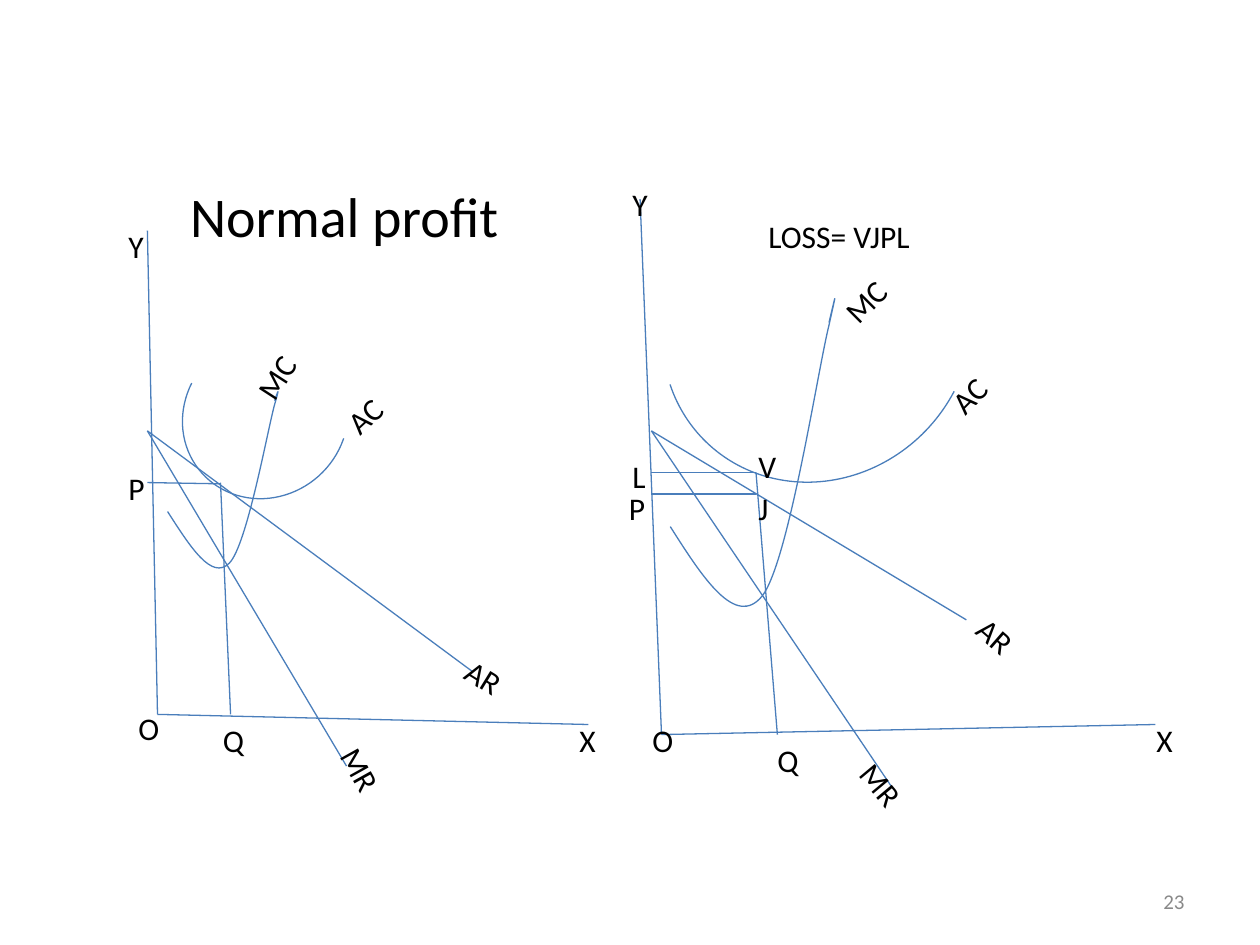
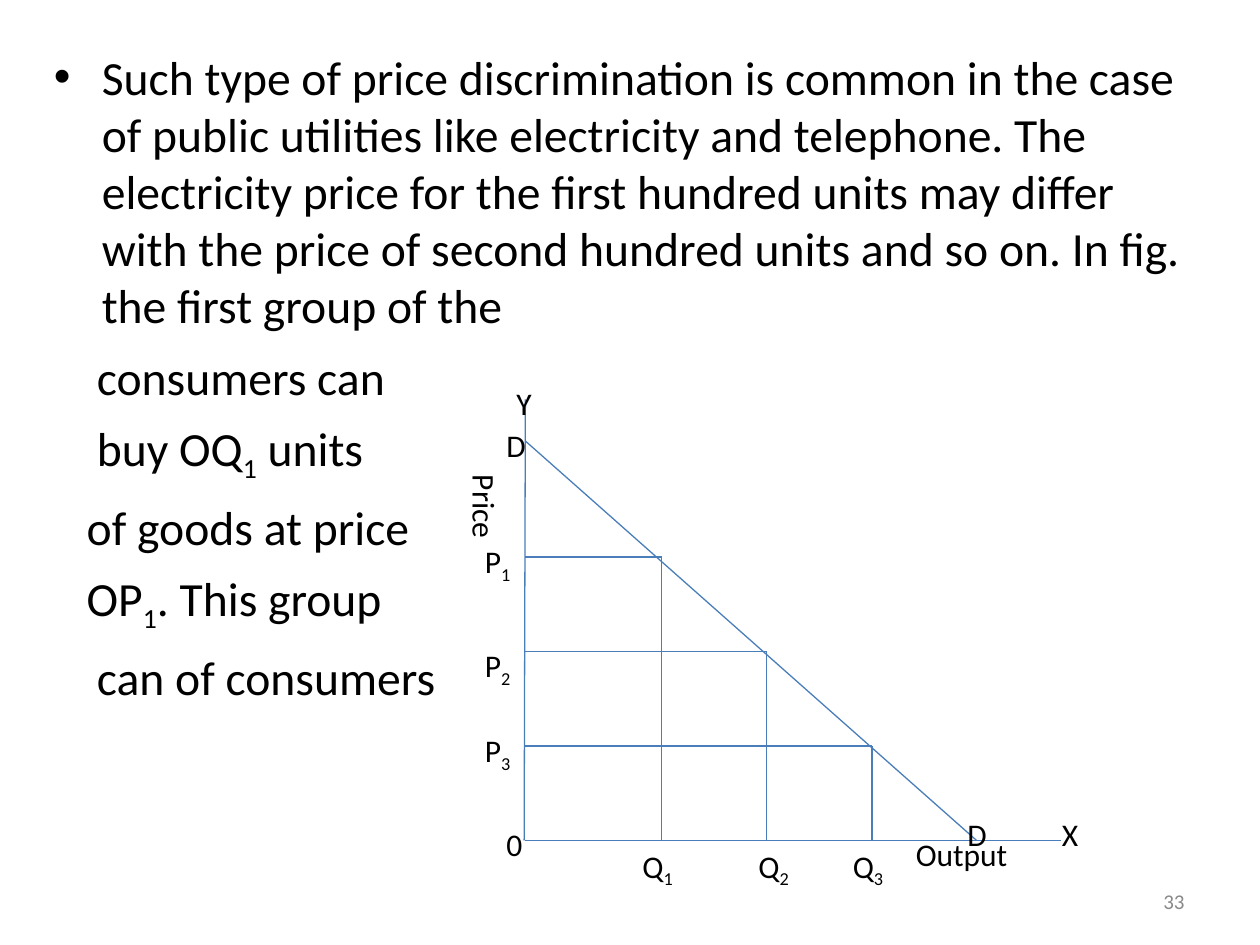
from dataclasses import dataclass

from lxml import etree
from pptx import Presentation
from pptx.dml.color import RGBColor
from pptx.enum.shapes import MSO_CONNECTOR as Connector, MSO_SHAPE as Shape
from pptx.enum.text import MSO_ANCHOR as Anchor, MSO_AUTO_SIZE as AutoSize, PP_ALIGN as Align
from pptx.oxml.ns import qn
from pptx.util import Inches, Pt


@dataclass(frozen=True)
class Theme:
    font: str = "Calibri"
    ink: RGBColor = RGBColor(0x00, 0x00, 0x00)
    muted: RGBColor = RGBColor(0x89, 0x89, 0x89)
    curve: RGBColor = RGBColor(0x4A, 0x7E, 0xBB)
    curve_width: float = 0.75
    title_size: float = 32
    body_size: float = 27.2
    label_size: float = 18
    number_size: float = 12
    body_gap: float = 8


THEME = Theme()


def write(paragraph, text, size, color=THEME.ink):
    """Fill a paragraph; the character after each underscore is a subscript."""
    first, *rest = text.split("_")
    pieces = [(first, False)]
    for part in rest:
        pieces += [(part[0], True), (part[1:], False)]
    for piece, lowered in pieces:
        if not piece:
            continue
        run = paragraph.add_run()
        run.text = piece
        run.font.name = THEME.font
        run.font.size = Pt(size)
        run.font.color.rgb = color
        if lowered:
            run.font._element.set("baseline", "-25000")


def text_frame(slide, left, top, width, height, rotation=0):
    box = slide.shapes.add_textbox(Inches(left), Inches(top), Inches(width), Inches(height))
    box.rotation = rotation
    box.text_frame.word_wrap = True
    return box.text_frame


def label(slide, text, left, top, width, rotation=0):
    frame = text_frame(slide, left, top, width, 0.44 if "_" in text else 0.4, rotation)
    frame.auto_size = AutoSize.SHAPE_TO_FIT_TEXT
    write(frame.paragraphs[0], text, THEME.label_size)


def page_number(slide, number):
    frame = text_frame(slide, 7.17, 6.95, 2.33, 0.4)
    frame.vertical_anchor = Anchor.MIDDLE
    frame.paragraphs[0].alignment = Align.RIGHT
    write(frame.paragraphs[0], str(number), THEME.number_size, THEME.muted)


def style_stroke(shape):
    shape.line.color.rgb = THEME.curve
    shape.line.width = Pt(THEME.curve_width)


def line(slide, start, end):
    connector = slide.shapes.add_connector(
        Connector.STRAIGHT, *(Inches(value) for value in (*start, *end)))
    style_stroke(connector)
    etree.SubElement(connector._element.spPr, qn("a:effectLst"))


def style_curve(shape):
    shape.fill.background()
    shape.shadow.inherit = False
    style_stroke(shape)


def average_cost(slide, left, top, width, height, rotation, angles):
    """Draw an arc between two angles, in degrees clockwise from the right."""
    arc = slide.shapes.add_shape(
        Shape.ARC, Inches(left), Inches(top), Inches(width), Inches(height))
    for index, angle in enumerate(angles):
        arc.adjustments[index] = angle * 0.6
    arc.rotation = rotation
    style_curve(arc)


def marginal_cost(slide, start, *controls):
    """Draw joined cubic curves; every three points are two controls and an end."""
    builder = slide.shapes.build_freeform(Inches(start[0]), Inches(start[1]))
    builder.add_line_segments([(Inches(x), Inches(y)) for x, y in controls], close=False)
    outline = builder.convert_to_shape()
    steps = list(outline._element.iter(qn("a:lnTo")))
    for first in range(0, len(steps), 3):
        cubic = etree.Element(qn("a:cubicBezTo"))
        steps[first].addprevious(cubic)
        for step in steps[first:first + 3]:
            cubic.append(step[0])
            step.getparent().remove(step)
    style_curve(outline)


def body_paragraph(frame, text, margin, bullet=None, size=THEME.body_size):
    first = not frame.paragraphs[0].runs
    paragraph = frame.paragraphs[0] if first else frame.add_paragraph()
    properties = paragraph._p.get_or_add_pPr()
    properties.set("marL", str(Inches(margin)))
    properties.set("indent", str(-Inches(margin) if bullet else 0))
    if bullet:
        etree.SubElement(properties, qn("a:buFont"), typeface="Arial")
        etree.SubElement(properties, qn("a:buChar"), char=bullet)
    if not first:
        paragraph.space_before = Pt(THEME.body_gap)
    write(paragraph, text, size)


def profit_title(slide):
    frame = text_frame(slide, 0.5, 0.75, 9.08, 5.95)
    frame.margin_top = Inches(0.69)
    body_paragraph(frame, "Normal profit", 0.91, size=THEME.title_size)


def normal_profit(slide):
    origin, intercept, tangency = (1.25, 5.67), (1.17, 3.42), (1.75, 3.83)
    line(slide, (1.17, 1.83), origin)
    line(slide, origin, (4.67, 5.75))
    line(slide, intercept, (2.75, 6.08))
    line(slide, intercept, (3.75, 5.33))
    average_cost(slide, 1.43, 2.67, 1.35, 1.27, 138.2, (237.4, 66.2))
    line(slide, tangency, (1.83, 5.67))
    marginal_cost(slide, (1.33, 4.06),
                  (1.51, 4.34), (1.68, 4.61), (1.82, 4.47),
                  (1.96, 4.33), (2.12, 3.43), (2.18, 3.21),
                  (2.24, 3), (2.18, 3.18), (2.18, 3.18))
    line(slide, (1.75, 3.84), (1.17, 3.83))

    for name in (("MR", 2.58, 5.92, 0.58, 61), ("AR", 3.6, 5.18, 0.5, 31.7),
                 ("AC", 2.63, 3.03, 0.67, 317.1), ("MC", 1.89, 2.74, 0.67, 302.9),
                 ("P", 0.92, 3.67, 0.37), ("Q", 1.67, 5.67, 0.37), ("O", 1, 5.58, 0.42),
                 ("Y", 0.92, 1.75, 0.45), ("X", 4.5, 5.67, 0.45)):
        label(slide, *name)


def loss(slide):
    origin, intercept = (5.25, 5.83), (5.17, 3.42)
    cost_point, price_point = (6, 3.75), (6, 3.92)
    line(slide, (5.08, 1.58), origin)
    line(slide, origin, (9.17, 5.75))
    line(slide, intercept, (7.08, 6.25))
    line(slide, intercept, (7.67, 4.92))
    average_cost(slide, 5.21, 1.39, 2.56, 2.39, 132.2, (253.5, 26.1))
    marginal_cost(slide, (5.32, 4.18),
                  (5.58, 4.59), (5.84, 4.99), (6.05, 4.73),
                  (6.26, 4.46), (6.49, 2.94), (6.58, 2.58),
                  (6.66, 2.22), (6.62, 2.39), (6.58, 2.56))
    line(slide, cost_point, (6.17, 5.83))
    for point in (price_point, cost_point):
        line(slide, point, (5.17, point[1]))

    for name in (("MC", 6.59, 2.18, 0.58, 315.1), ("AC", 7.35, 2.69, 1.17, 314.9),
                 ("AR", 7.66, 4.85, 0.5, 41), ("MR", 6.64, 6.2, 1, 50.1),
                 ("V", 5.92, 3.5, 0.25), ("J", 5.92, 3.83, 0.29),
                 ("P", 4.92, 3.83, 0.17), ("L", 4.92, 3.58, 0.37),
                 ("Q", 6.17, 5.83, 0.08), ("O", 5.08, 5.67, 0.37),
                 ("LOSS= VJPL", 6, 1.67, 2.83), ("Y", 4.92, 1.42, 0.2),
                 ("X", 9.08, 5.67, 0.45)):
        label(slide, *name)


def discrimination_text(slide):
    frame = text_frame(slide, 0.33, 0.33, 9.25, 6.83)
    body_paragraph(
        frame,
        "Such type of price discrimination is common in the case of public utilities like "
        "electricity and telephone. The electricity price for the first hundred units may "
        "differ with the price of second hundred units and so on. In fig. the first group "
        "of the", 0.38, "•")
    for text, margin in (("consumers can", 0.34), ("buy OQ_1 units", 0.34),
                         ("of goods at price", 0.26), ("OP_1. This group", 0.26),
                         ("can of consumers", 0.34)):
        body_paragraph(frame, text, margin)


def demand_diagram(slide):
    axis_x, axis_y = 4.17, 6.67
    line(slide, (axis_x, 3.17), (4.16, axis_y))
    line(slide, (axis_x, axis_y), (8.42, axis_y))
    line(slide, (axis_x, 3.5), (7.75, axis_y))
    for step in range(3):
        quantity, price = 5.25 + 0.835 * step, 4.42 + 0.75 * step
        line(slide, (axis_x, price), (quantity, price))
        line(slide, (quantity, price), (quantity, axis_y))

    for name in (("P_1", 3.75, 4.25, 0.53), ("P_2", 3.75, 5.08, 0.83),
                 ("P_3", 3.75, 5.75, 0.67), ("Q_1", 5, axis_y, 0.58),
                 ("Q_2", 5.92, axis_y, 0.58), ("Q_3", 6.67, axis_y, 0.67),
                 ("D", 7.58, 6.42, 0.37), ("D", 3.92, 3.33, 0.67), ("Y", 4, 3, 0.45),
                 ("X", 8.33, 6.42, 0.28), ("0", 3.92, 6.5, 0.37),
                 ("Price", 3.07, 4.25, 1.56, 90), ("Output", 7.17, 6.58, 1)):
        label(slide, *name)


def main():
    deck = Presentation()
    deck.slide_width, deck.slide_height = Inches(10), Inches(7.5)
    for number, text, diagrams in ((23, profit_title, (loss, normal_profit)),
                                   (33, discrimination_text, (demand_diagram,))):
        slide = deck.slides.add_slide(deck.slide_layouts[6])
        text(slide)
        page_number(slide, number)
        for diagram in diagrams:
            diagram(slide)
    deck.save("out.pptx")


if __name__ == "__main__":
    main()
